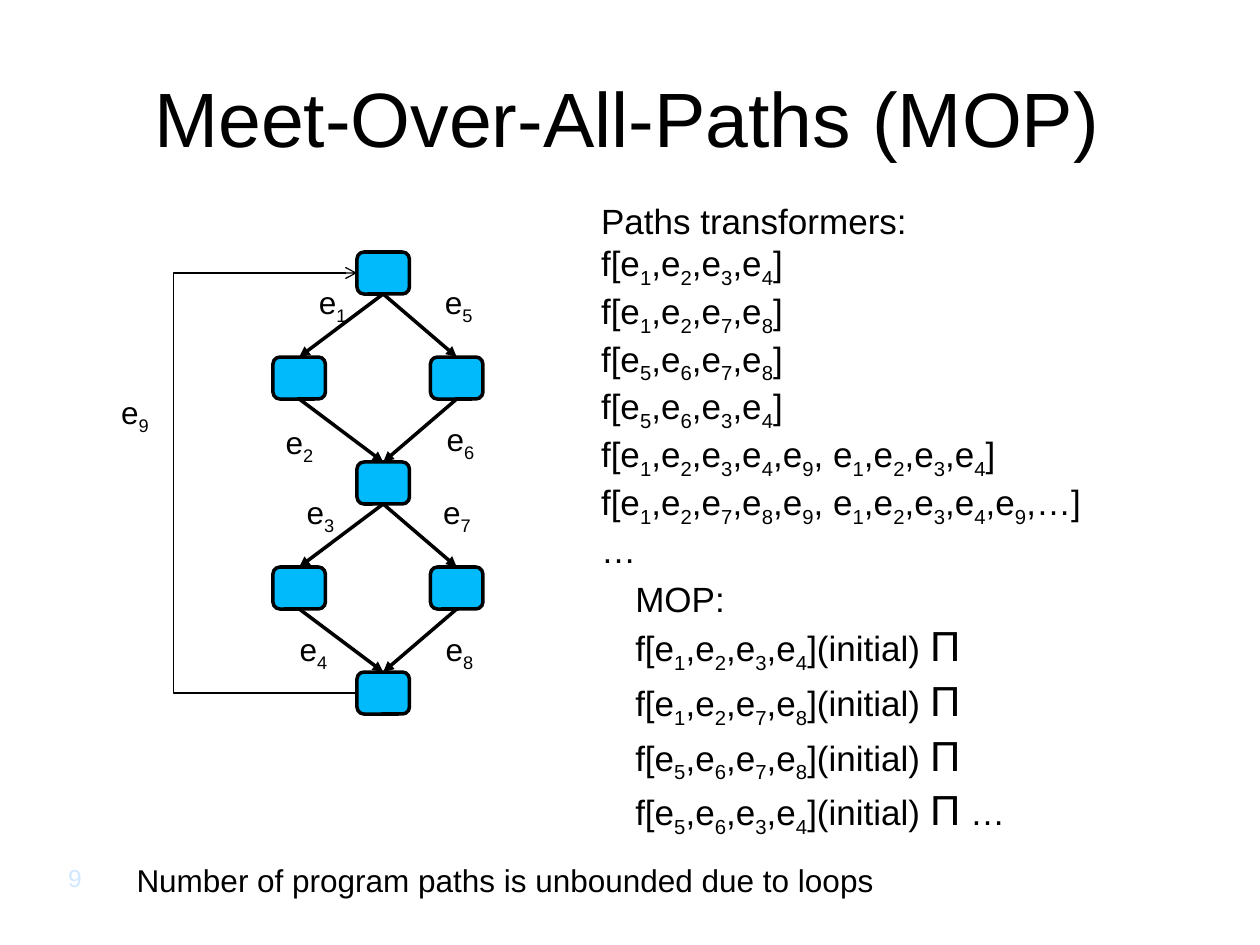
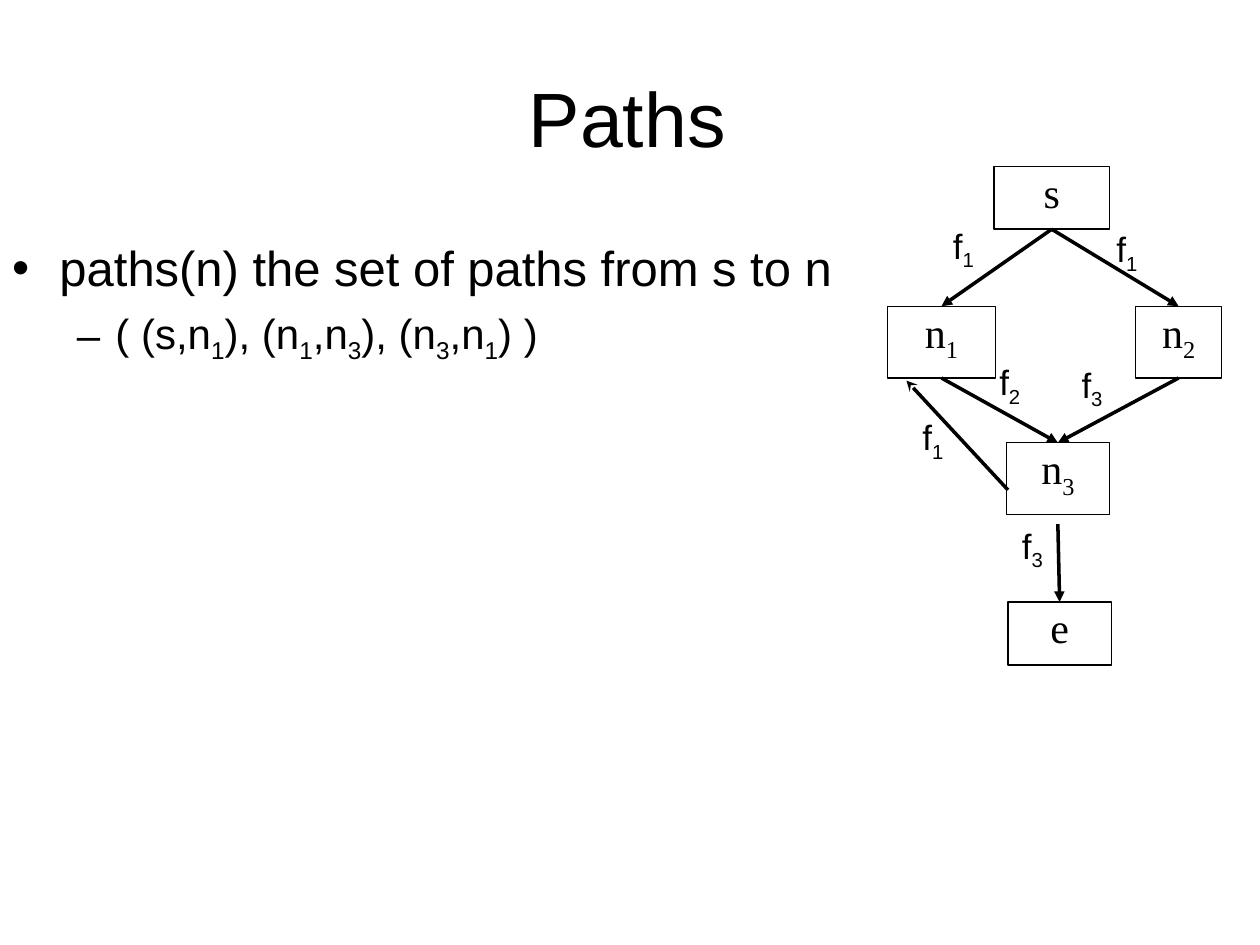
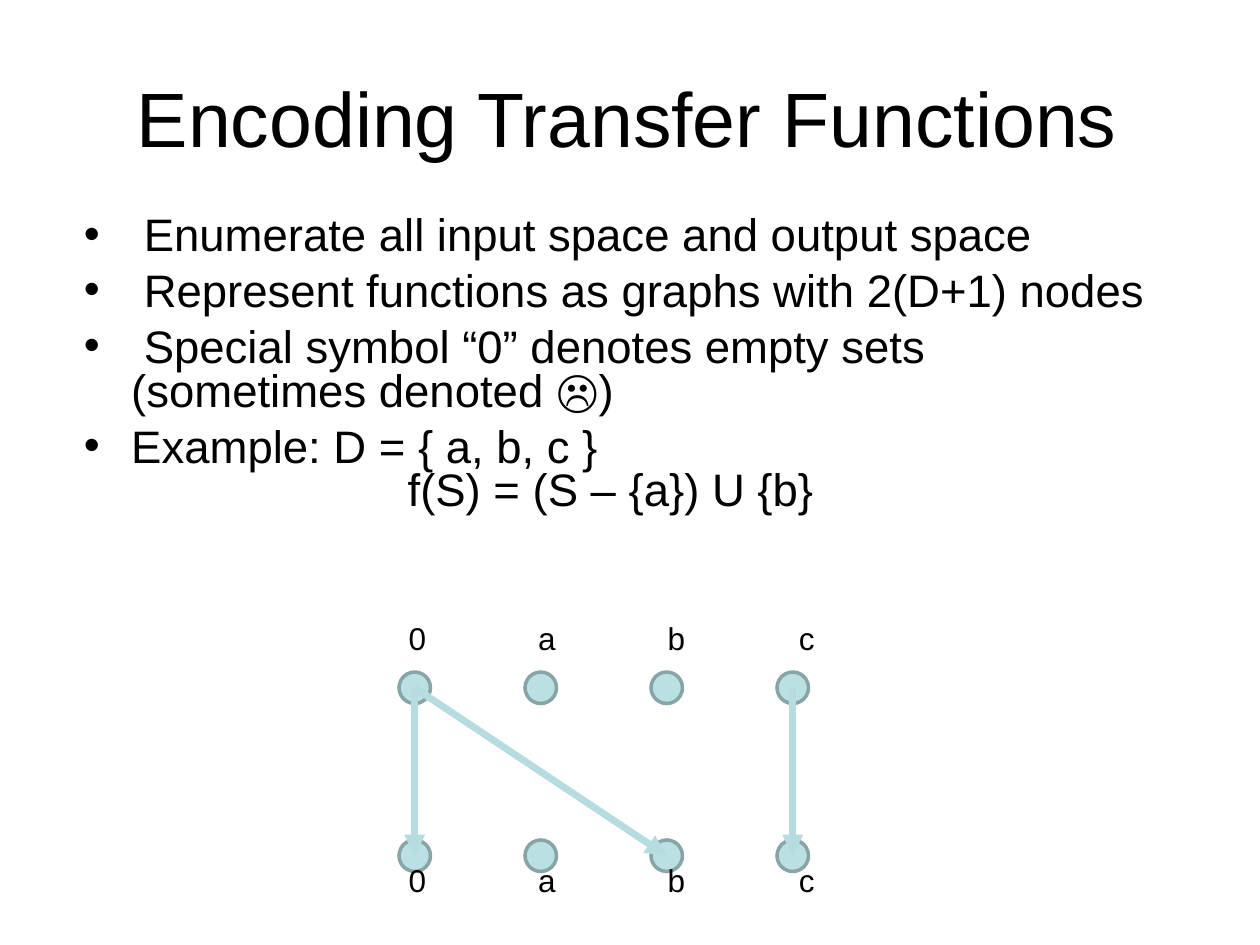
"""Build three slides on path transformers and transfer functions."""
from itertools import groupby, product

from lxml.etree import SubElement
from pptx import Presentation
from pptx.dml.color import RGBColor
from pptx.enum.shapes import MSO_CONNECTOR, MSO_SHAPE
from pptx.enum.text import MSO_ANCHOR, PP_ALIGN
from pptx.oxml.ns import qn
from pptx.util import Pt

COLORS = {"ink": "000000", "page": "D0E8FF", "node": "00BAFB",
          "dot": "BBE0E3", "rim": "89A4A7", "arrow": "B6DCDF"}
SANS, SERIF = "Arial", "Times New Roman"
LEFT, MID, RIGHT = PP_ALIGN.LEFT, PP_ALIGN.CENTER, PP_ALIGN.RIGHT
TOP_ITEM, SUB_ITEM, NEXT_LINE = (27, -27, "•", 7), (59, -22, "–", 6), (185, 0, "", 0)


def color(name):
    return RGBColor.from_string(COLORS[name])


def split(text):
    marks = [("sub" if last == "_" else char if char in "Π☹" else "", char)
             for last, char in zip(" " + text, text) if char != "_"]
    for kind, group in groupby(marks, key=lambda mark: mark[0]):
        yield kind, "".join(char for _, char in group)


class Deck:
    def __init__(self):
        self.show = Presentation()
        self.show.slide_width, self.show.slide_height = Pt(720), Pt(540)

    def page(self, title):
        self.slide = self.show.slides.add_slide(self.show.slide_layouts[6])
        frame = self.text((36, 0, 648, 133), [title], 44, MID, (7, 4, 10, 4))
        frame.vertical_anchor = MSO_ANCHOR.MIDDLE

    def fill(self, frame, lines, size, align, pad, font=SANS, tint="ink"):
        frame.word_wrap = True
        frame.vertical_anchor = MSO_ANCHOR.TOP
        (frame.margin_left, frame.margin_top,
         frame.margin_right, frame.margin_bottom) = map(Pt, pad)
        for index, line in enumerate(lines):
            para = frame.add_paragraph() if index else frame.paragraphs[0]
            para.alignment = align
            for kind, part in split(line):
                run = para.add_run()
                run.text = part
                run.font.size = Pt(24 if kind == "Π" else size)
                run.font.name = SERIF if kind == "☹" else font
                run.font.color.rgb = color(tint)
                if kind == "sub":
                    run._r.get_or_add_rPr().set("baseline", "-25000")
        return frame

    def text(self, box, lines, size=18, align=LEFT, pad=(3, 0, 3, 0), tint="ink"):
        shape = self.slide.shapes.add_textbox(*map(Pt, box))
        return self.fill(shape.text_frame, lines, size, align, pad, tint=tint)

    def items(self, box, rows, sizes, space=1.0):
        frame = self.text(box, [line for line, _ in rows], sizes[0], pad=(4, 4, 10, 4))
        for index, (para, (_, style)) in enumerate(zip(frame.paragraphs, rows)):
            margin, hang, sign, gap = style
            props = para._p.get_or_add_pPr()
            props.set("marL", str(Pt(margin)))
            props.set("indent", str(Pt(hang)))
            if sign:
                SubElement(props, qn("a:buFont"), typeface=SANS)
                SubElement(props, qn("a:buChar"), char=sign)
            para.line_spacing = space
            if index:
                para.space_before = Pt(gap)
            for run in para.runs:
                run.font.size = Pt(sizes[style is SUB_ITEM])

    def shape(self, kind, box, fill=None, edge="ink", width=2.0):
        shape = self.slide.shapes.add_shape(kind, *map(Pt, box))
        shape.shadow.inherit = False
        if fill:
            shape.fill.solid()
            shape.fill.fore_color.rgb = color(fill)
        else:
            shape.fill.background()
        shape.line.color.rgb = color(edge)
        shape.line.width = Pt(width)
        return shape

    def arrow(self, start, end, tint="ink", width=2.0, head="triangle",
              kind=MSO_CONNECTOR.STRAIGHT):
        line = self.slide.shapes.add_connector(kind, *map(Pt, (*start, *end)))
        line.line.color.rgb = color(tint)
        line.line.width = Pt(width)
        SubElement(line.line._get_or_add_ln(), qn("a:tailEnd"), type=head)
        SubElement(line._element.spPr, qn("a:effectLst"))
        return line

    def loop(self, start, end, bend):
        line = self.arrow(start, end, width=0.75, head="arrow", kind=MSO_CONNECTOR.ELBOW)
        props = line._element.spPr
        props.find(qn("a:xfrm")).set("rot", "10800000")
        guides = props.find(qn("a:prstGeom")).find(qn("a:avLst"))
        SubElement(guides, qn("a:gd"), name="adj1", fmla=f"val {round(bend * 100000)}")

    def link(self, upper, lower):
        (left, top, width, height), (x, y, span, _) = upper, lower
        self.arrow((left + width / 2, top + height), (x + span / 2, y))


def calls(path):
    return "f[" + ",".join(f"e_{step}" for step in path) + "]"


def meet(deck):
    deck.page("Meet-Over-All-Paths (MOP)")
    spots = [(204, 0), (156, 1), (246, 1), (204, 2), (156, 3), (246, 3), (204, 4)]
    nodes = [(x, 144 + 60 * row, 30, 24) for x, row in spots]
    for first in (0, 3):
        for side in (1, 2):
            deck.link(nodes[first], nodes[first + side])
            deck.link(nodes[first + side], nodes[first + 3])
    labels = [(178, 162), (159, 242), (171, 282), (167, 360), (250, 162),
              (251, 240), (249, 282), (250.5, 360), (65, 224.5)]
    for step, (x, y) in enumerate(labels, 1):
        deck.text((x, y, 23, 22), [f"e_{step}"], align=RIGHT)
    paths = [calls(path) for path in ("1234", "1278", "5678", "5634")]
    loops = ["f[e_1,e_2,e_3,e_4,e_9, e_1,e_2,e_3,e_4]",
             "f[e_1,e_2,e_7,e_8,e_9, e_1,e_2,e_3,e_4,e_9,…]"]
    deck.text((340.5, 114, 299, 194), ["Paths transformers:", *paths, *loops, "…"], 20)
    meets = [path + "(initial) Π" for path in paths]
    meets[-1] += " …"
    deck.text((360, 330, 279, 140), ["MOP:", *meets], 20)
    deck.loop((204, 156), (205, 396), 106.57)
    deck.text((75, 492, 433, 28), ["Number of program paths is unbounded due to loops"])
    deck.text((36, 493, 30, 17), ["9"], 14, tint="page")
    for box in nodes:
        deck.shape(MSO_SHAPE.ROUNDED_RECTANGLE, box, "node")


def paths(deck):
    deck.page("Paths")
    deck.items((3, 132, 498, 413),
               [("paths(n) the set of paths from s to n", TOP_ITEM),
                ("( (s,n_1), (n_1,n_3), (n_3,n_1) )", SUB_ITEM)], (28, 24))
    nodes = {"s": (568, 95, 66, 36), "n_1": (507, 175, 62, 41), "n_2": (649, 175, 49, 41),
             "n_3": (575, 253, 59, 41), "e": (576, 344, 59, 36)}
    for name, box in nodes.items():
        shape = deck.shape(MSO_SHAPE.RECTANGLE, box, width=0.75)
        deck.fill(shape.text_frame, [name], 24, MID, (3, 0, 3, 0), SERIF)
    for side in ("n_1", "n_2"):
        deck.link(nodes["s"], nodes[side])
        deck.link(nodes[side], nodes["n_3"])
    deck.arrow((604.5, 299.5), (605.5, 344))
    deck.arrow((576, 280), (518, 217.5), head="stealth")
    labels = [(1, 541.5, 128), (1, 635, 130), (3, 615, 207.5),
              (2, 568, 206), (1, 524, 237.5), (3, 581, 299.5)]
    for step, x, y in labels:
        deck.text((x, y, 34, 34), [f"f_{step}"], 20)


def graphs(deck):
    deck.page("Encoding Transfer Functions")
    deck.items((44, 120, 632, 349),
               [(" Enumerate all input space and output space", TOP_ITEM),
                (" Represent functions as graphs with 2(D+1) nodes", TOP_ITEM),
                (" Special symbol “0” denotes empty sets (sometimes denoted ☹)", TOP_ITEM),
                ("Example: D = { a, b, c }", TOP_ITEM),
                ("f(S) = (S – {a}) U {b}", NEXT_LINE)], (26, 26), 0.8)
    rows = [(384, 354), (480, 492)]
    for (top, _), col in product(rows, range(4)):
        deck.shape(MSO_SHAPE.OVAL, (228 + 72 * col, top, 18, 18), "dot", "rim")
    for (_, top), (col, name) in product(rows, enumerate("0abc")):
        deck.text((224.5 + 74 * col, top, 22, 28), [name], align=RIGHT)
    for source, target in ((0, 0), (3, 3), (0, 2)):
        deck.arrow((237 + 72 * source, 393), (237 + 72 * target, 489), "arrow", 4)


def main():
    deck = Deck()
    meet(deck)
    paths(deck)
    graphs(deck)
    deck.show.save("out.pptx")


if __name__ == "__main__":
    main()
